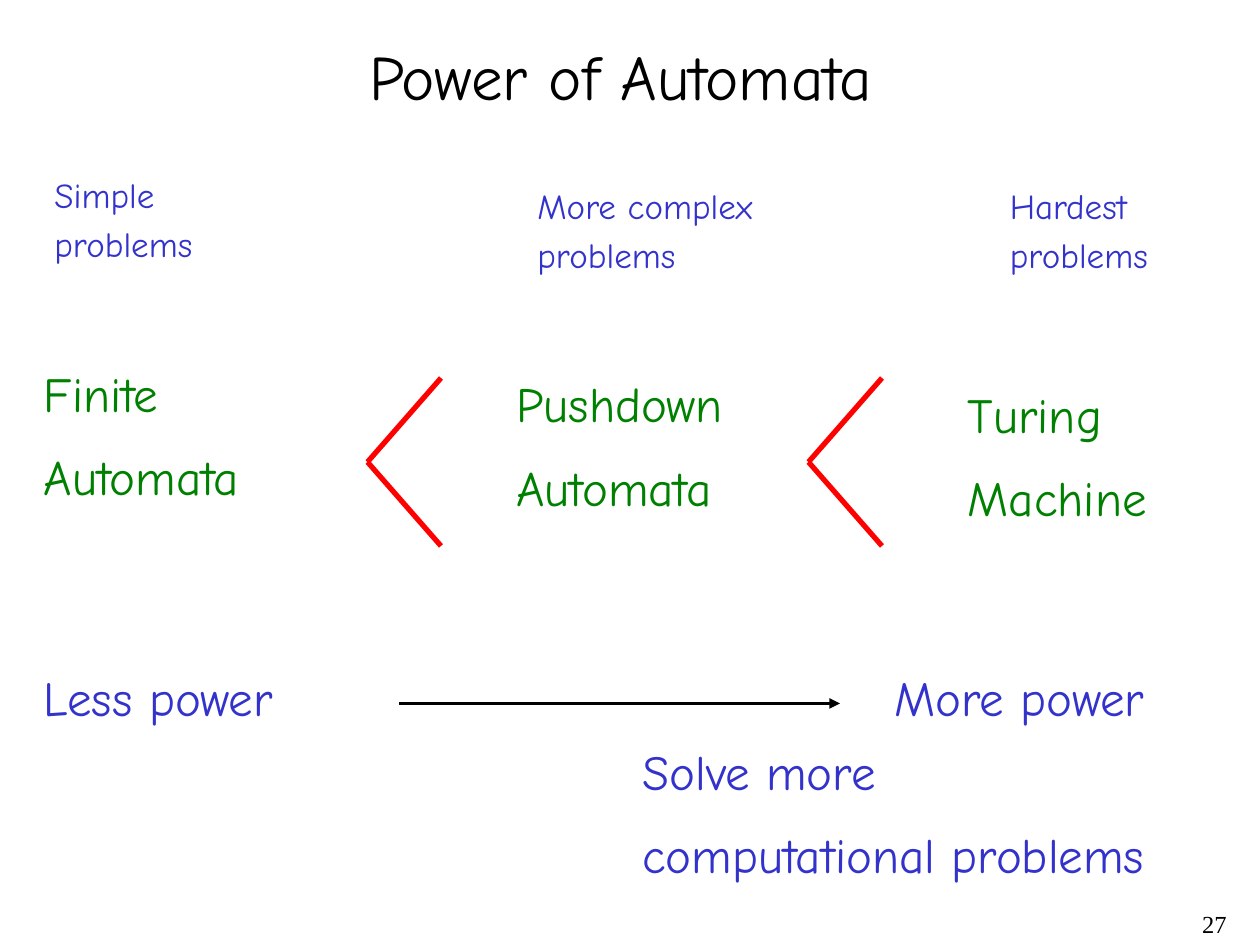
from lxml.etree import SubElement
from pptx import Presentation
from pptx.dml.color import RGBColor
from pptx.enum.shapes import MSO_CONNECTOR as Connector
from pptx.enum.text import PP_ALIGN as Align
from pptx.oxml.ns import qn
from pptx.util import Inches, Pt

# The grid has 120 columns and 90 rows, twelve to the inch
CELL = Inches(1) / 12
BLACK, BLUE, GREEN, RED = "000000", "3333CC", "008000", "FF0000"

# Each machine: (problem lines, their box), (name lines, their box)
# Boxes are column, row, columns, rows
MACHINES = [
    ((["Simple", "problems"], (4, 15.9, 16.6, 10)),
     (["Finite", "Automata"], (3, 34, 23.5, 15.2))),
    ((["More complex", "problems"], (50, 17, 24.1, 10)),
     (["Pushdown", "Automata"], (48, 35, 23.5, 15.2))),
    ((["Hardest", "problems"], (95, 17, 16.6, 10)),
     (["Turing", "Machine"], (91, 36, 20.3, 15.2))),
]
LESS_THAN_BOXES = [(35, 36, 7, 16), (77, 36, 7, 16)]


def color(hex_string):
    return RGBColor.from_string(hex_string)


def grid(*cells):
    return [round(cell * CELL) for cell in cells]


def add_text(slide, lines, box, size=28, fill=BLUE, font="Comic Neue",
             align=Align.LEFT, gap=0.5):
    """Write one paragraph per line; gap is a share of the text size."""
    frame = slide.shapes.add_textbox(*grid(*box)).text_frame
    frame.word_wrap = True
    for i, line in enumerate(lines):
        paragraph = frame.paragraphs[0] if i == 0 else frame.add_paragraph()
        paragraph.alignment = align
        if i:
            paragraph.space_before = Pt(size * gap)
        run = paragraph.add_run()
        run.text = line
        run.font.size = Pt(size)
        run.font.name = font
        run.font.color.rgb = color(fill)


def add_line(slide, start, end, stroke, width, arrow=False):
    line = slide.shapes.add_connector(Connector.STRAIGHT, *grid(*start, *end))
    line.line.color.rgb = color(stroke)
    line.line.width = Pt(width)
    properties = line._element.spPr
    if arrow:
        SubElement(properties.find(qn("a:ln")), qn("a:tailEnd"), type="triangle")
    SubElement(properties, qn("a:effectLst"))


def add_machine(slide, problems, name):
    add_text(slide, *problems, size=20, gap=0.2)
    add_text(slide, *name, fill=GREEN)


def add_less_than(slide, box):
    left, top, width, height = box
    tip = (left, top + height / 2)
    for y in (top, top + height):
        add_line(slide, tip, (left + width, y), RED, 3)


def add_power_scale(slide, box):
    left, top, width, height = box
    add_text(slide, ["Less power"], (left, top, 26.4, 6.8))
    add_text(slide, ["More power"], (left + width - 28, top, 28.2, 6.8))
    add_text(slide, ["Solve more", "computational problems"],
             (left + 57, top + 7, 53.6, height - 7))
    arrow_row = top + 4
    add_line(slide, (left + 35, arrow_row), (left + 77, arrow_row),
             BLACK, 2, arrow=True)


def main():
    deck = Presentation()
    deck.slide_width, deck.slide_height = grid(120, 90)
    slide = deck.slides.add_slide(deck.slide_layouts[6])

    # Title and page number
    add_text(slide, ["Power of Automata"], (34, 3, 55.8, 8.4), size=36, fill=BLACK)
    add_text(slide, ["27"], (93, 86, 25, 4), size=14, fill=BLACK,
             font="Times New Roman", align=Align.RIGHT)

    # Machines in order of power
    for problems, name in MACHINES:
        add_machine(slide, problems, name)
    for box in LESS_THAN_BOXES:
        add_less_than(slide, box)

    # Scale from less to more power
    add_power_scale(slide, (3, 63, 109, 22.2))
    deck.save("out.pptx")


if __name__ == "__main__":
    main()
